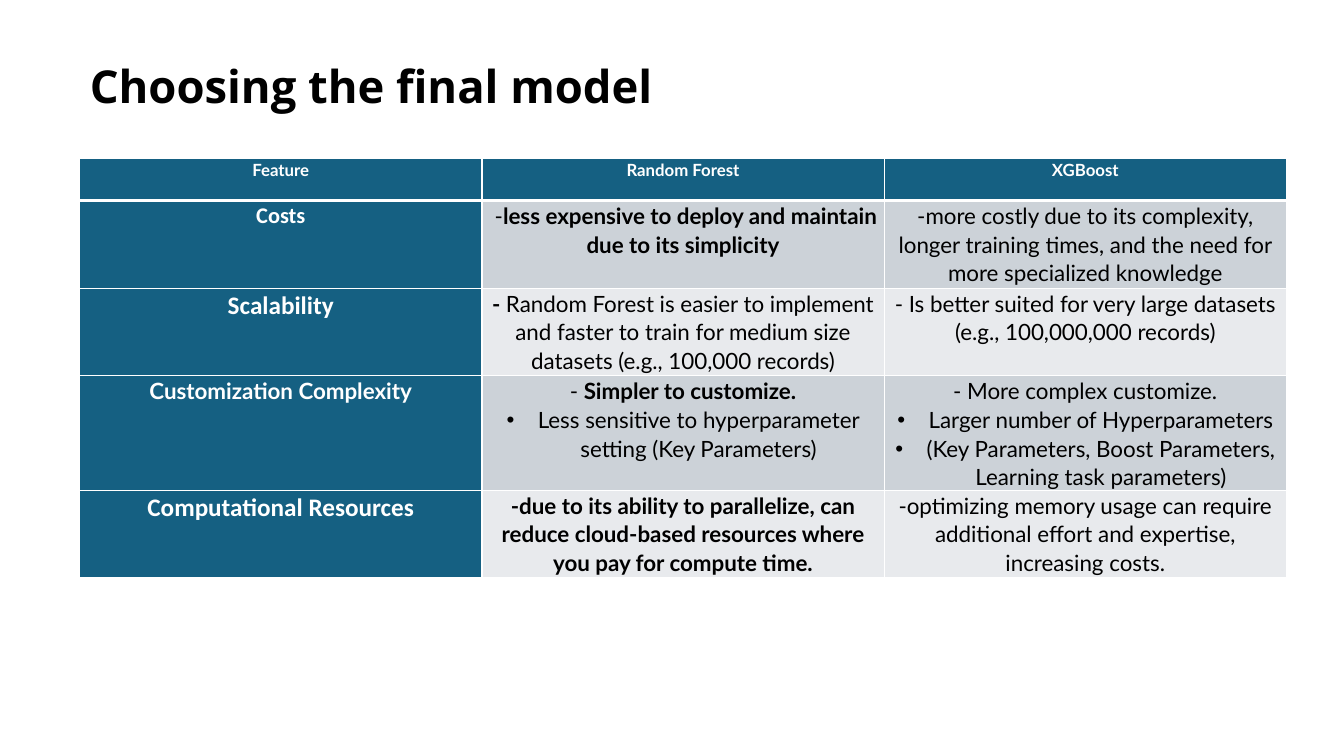
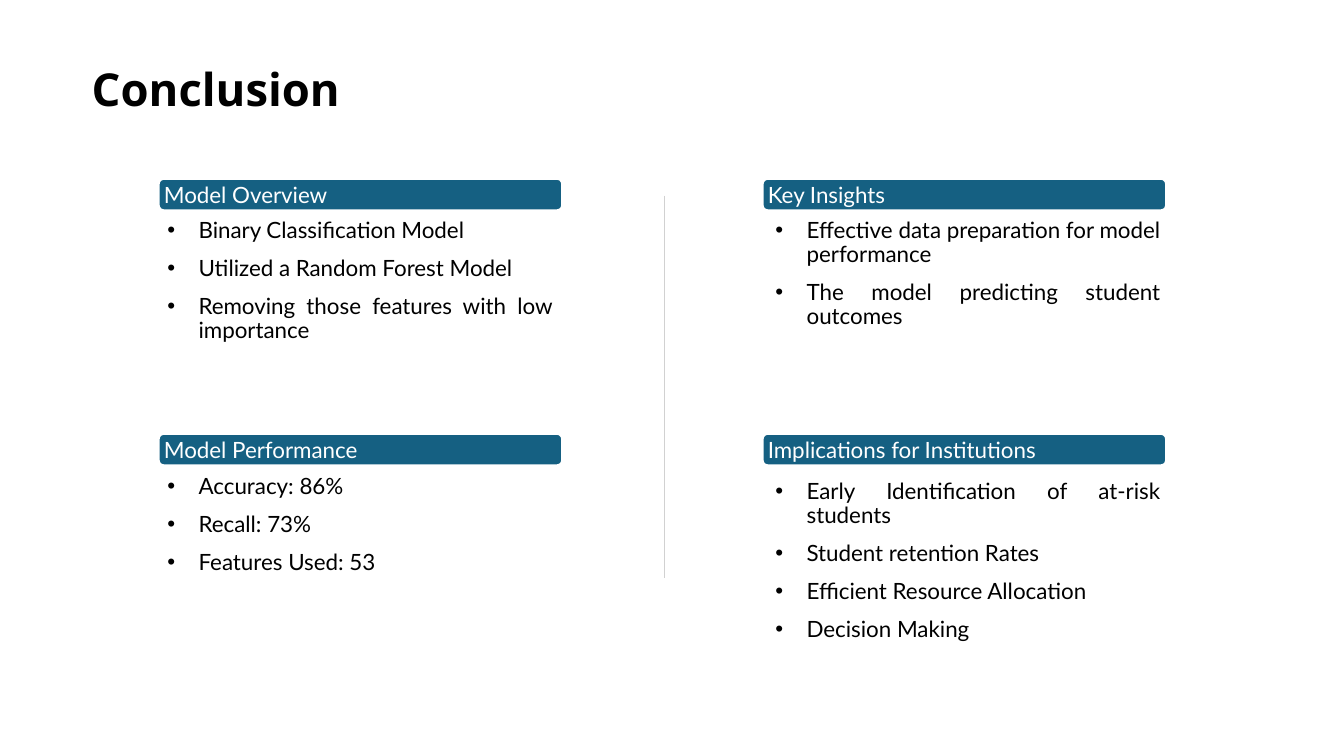
from lxml import etree
from pptx import Presentation
from pptx.dml.color import RGBColor
from pptx.enum.shapes import MSO_CONNECTOR, MSO_SHAPE
from pptx.enum.text import MSO_ANCHOR, MSO_AUTO_SIZE, PP_ALIGN
from pptx.oxml import parse_xml
from pptx.oxml.ns import nsdecls, qn
from pptx.util import Emu, Pt

LEFT, CENTER, JUSTIFY = PP_ALIGN.LEFT, PP_ALIGN.CENTER, PP_ALIGN.JUSTIFY
TOP, MIDDLE, BOTTOM = MSO_ANCHOR.TOP, MSO_ANCHOR.MIDDLE, MSO_ANCHOR.BOTTOM
NO_FIT = MSO_AUTO_SIZE.NONE
ROUND_RECT = MSO_SHAPE.ROUNDED_RECTANGLE
STRAIGHT = MSO_CONNECTOR.STRAIGHT

EMU_PER_PX = 9144
BLUE, WHITE, BLACK, GREY = "156082", "FFFFFF", "000000", "D1D1D1"
BANDS = ["CCD2D8", "E8EAED"]
BODY_FONT = "Lato"
INDENT = 31
TITLE_ONLY, COMPARISON = 5, 4

TITLE_FONT = {"name": "Open Sans", "size": Pt(32.4), "bold": True}
LIST_FORMAT = {"alignment": JUSTIFY, "line_spacing": 0.9}
CELL_FORMAT = {"alignment": CENTER, "line_spacing": 1.07}

HEADERS = ["Feature", "Random Forest", "XGBoost"]
ROWS = [
    (("Costs", "Calibri", 16), 87,
     [" -**less expensive to deploy and maintain due to its simplicity**"],
     ["-more costly due to its complexity, longer training times, "
      "and the need for more specialized knowledge"]),
    (("Scalability", "Calibri", 18), 87,
     ["**- **Random Forest is easier to implement and faster to train "
      "for medium size datasets (e.g., 100,000 records)"],
     ["- Is better suited for very large datasets "
      "(e.g., 100,000,000 records)"]),
    (("Customization Complexity", BODY_FONT, 16), 113,
     ["- **Simpler to customize.**",
      "• Less sensitive to hyperparameter setting (Key Parameters)"],
     ["- More complex customize.",
      "• Larger number of Hyperparameters",
      "• (Key Parameters, Boost Parameters, Learning task parameters)"]),
    (("Computational Resources", "Calibri", 18), 87,
     ["**-due to its ability to parallelize, can reduce cloud-based "
      "resources where you pay for compute time.**"],
     ["-optimizing memory usage can require additional effort and "
      "expertise, increasing costs."]),
]

SECTIONS = [
    ("Model Overview", 157, 177, (166, 217, 382, 111),
     ["• Binary Classification Model",
      "• Utilized a Random Forest Model",
      "• Removing those features with low importance"]),
    ("Model Performance", 157, 430, (166, 471, 382, 120),
     ["• Accuracy: 86%", "• Recall: 73%", "• Features Used: 53"]),
    ("Key Insights", 756, 177, (769, 217, 382, 103),
     ["• Effective data preparation for model performance",
      "• The model predicting student outcomes"]),
    ("Implications for Institutions", 756, 430, (769, 476, 382, 152),
     ["• Early Identification of at-risk students",
      "• Student retention Rates",
      "• Efficient Resource Allocation",
      "• Decision Making"]),
]


def px(n):
    return Emu(n * EMU_PER_PX)


def rgb(color):
    return RGBColor.from_string(color)


def apply(target, values):
    for name, value in values.items():
        setattr(target, name, value)


def place(shape, left, top, width, height):
    apply(shape, {"left": px(left), "top": px(top),
                  "width": px(width), "height": px(height)})


def set_frame(tf, anchor, inset):
    apply(tf, {"word_wrap": True, "auto_size": NO_FIT,
               "vertical_anchor": anchor})
    for side in ("left", "top", "right", "bottom"):
        setattr(tf, f"margin_{side}", px(inset))


def add_bullet(p):
    pPr = p._p.get_or_add_pPr()
    pPr.set("marL", str(px(INDENT)))
    pPr.set("indent", str(-px(INDENT)))
    etree.SubElement(pPr, qn("a:buFont")).set("typeface", "Arial")
    etree.SubElement(pPr, qn("a:buChar")).set("char", "•")


def write(tf, lines, fmt, color=BLACK, name=BODY_FONT, size=16, gap=0):
    for i, line in enumerate(lines):
        p = tf.add_paragraph() if i else tf.paragraphs[0]
        if line.startswith("• "):
            add_bullet(p)
            line = line[2:]
        apply(p, fmt)
        p.space_before = Pt(gap if i else 0)
        for j, text in enumerate(line.split("**")):
            if text:
                r = p.add_run()
                r.text = text
                apply(r.font, {"name": name, "size": Pt(size),
                               "bold": j % 2 == 1})
                r.font.color.rgb = rgb(color)


def add_slide(prs, layout, title, left, top):
    s = prs.slides.add_slide(prs.slide_layouts[layout])
    sp = s.shapes.title
    place(sp, left, top, 1231, 55)
    tf = sp.text_frame
    apply(tf, {"vertical_anchor": BOTTOM, "auto_size": NO_FIT})
    p = tf.paragraphs[0]
    apply(p, {"alignment": LEFT, "line_spacing": 0.8})
    r = p.add_run()
    r.text = title
    apply(r.font, TITLE_FONT)
    r.font.color.rgb = rgb(BLACK)
    return s


def set_borders(cell, top, bottom):
    tcPr = cell._tc.get_or_add_tcPr()
    for side, width in (("L", 1), ("R", 1), ("T", top), ("B", bottom)):
        tcPr.append(parse_xml(
            f'<a:ln{side} {nsdecls("a")} w="{Pt(width)}"><a:solidFill>'
            f'<a:srgbClr val="{WHITE}"/></a:solidFill></a:ln{side}>'))


def fill_cell(cell, lines, fill, top=1, bottom=1, **font):
    apply(cell, {"margin_left": px(7), "margin_right": px(7),
                 "margin_top": 0, "margin_bottom": 0,
                 "vertical_anchor": TOP})
    set_borders(cell, top, bottom)
    cell.fill.solid()
    cell.fill.fore_color.rgb = rgb(fill)
    write(cell.text_frame, lines, CELL_FORMAT, **font)


def add_comparison_table(s):
    heights = [42] + [row[1] for row in ROWS]
    table = s.shapes.add_table(len(heights), len(HEADERS), px(79), px(157),
                               px(399 * len(HEADERS)),
                               px(sum(heights))).table
    for column in table.columns:
        column.width = px(399)
    for row, height in zip(table.rows, heights):
        row.height = px(height)
    for c, header in enumerate(HEADERS):
        fill_cell(table.cell(0, c), [f"**{header}**"], BLUE, bottom=3,
                  color=WHITE, size=12)
    for i, ((feature, name, size), _, *models) in enumerate(ROWS):
        top = 1 if i else 3
        fill_cell(table.cell(i + 1, 0), [f"**{feature}**"], BLUE, top,
                  color=WHITE, name=name, size=size)
        for c, lines in enumerate(models, 1):
            fill_cell(table.cell(i + 1, c), lines, BANDS[i % 2], top)


def add_heading(s, text, left, top):
    sp = s.shapes.add_shape(ROUND_RECT, px(left), px(top), px(401), px(32))
    sp.shadow.inherit = False
    sp.fill.solid()
    sp.fill.fore_color.rgb = rgb(BLUE)
    sp.line.color.rgb = rgb(WHITE)
    sp.line.width = Pt(2)
    set_frame(sp.text_frame, MIDDLE, 4)
    write(sp.text_frame, [text], {"alignment": LEFT}, WHITE)


def fill_list(sp, box, lines):
    place(sp, *box)
    set_frame(sp.text_frame, TOP, 0)
    write(sp.text_frame, lines, LIST_FORMAT, gap=10)


def add_divider(s, x, top, bottom):
    line = s.shapes.add_connector(STRAIGHT, px(x), px(top), px(x), px(bottom))
    line.line.color.rgb = rgb(GREY)
    line.line.width = Pt(1)
    etree.SubElement(line._element.spPr, qn("a:effectLst"))


def main():
    prs = Presentation()
    apply(prs, {"slide_width": px(1333), "slide_height": px(750)})

    s = add_slide(prs, TITLE_ONLY, "Choosing the final model", 79, 61)
    add_comparison_table(s)

    s = add_slide(prs, COMPARISON, "Conclusion", 81, 64)
    for i, (heading, left, top, box, lines) in enumerate(SECTIONS, 1):
        add_heading(s, heading, left, top)
        fill_list(s.placeholders[i], box, lines)
    add_divider(s, 659, 194, 573)

    prs.save("out.pptx")


if __name__ == "__main__":
    main()
